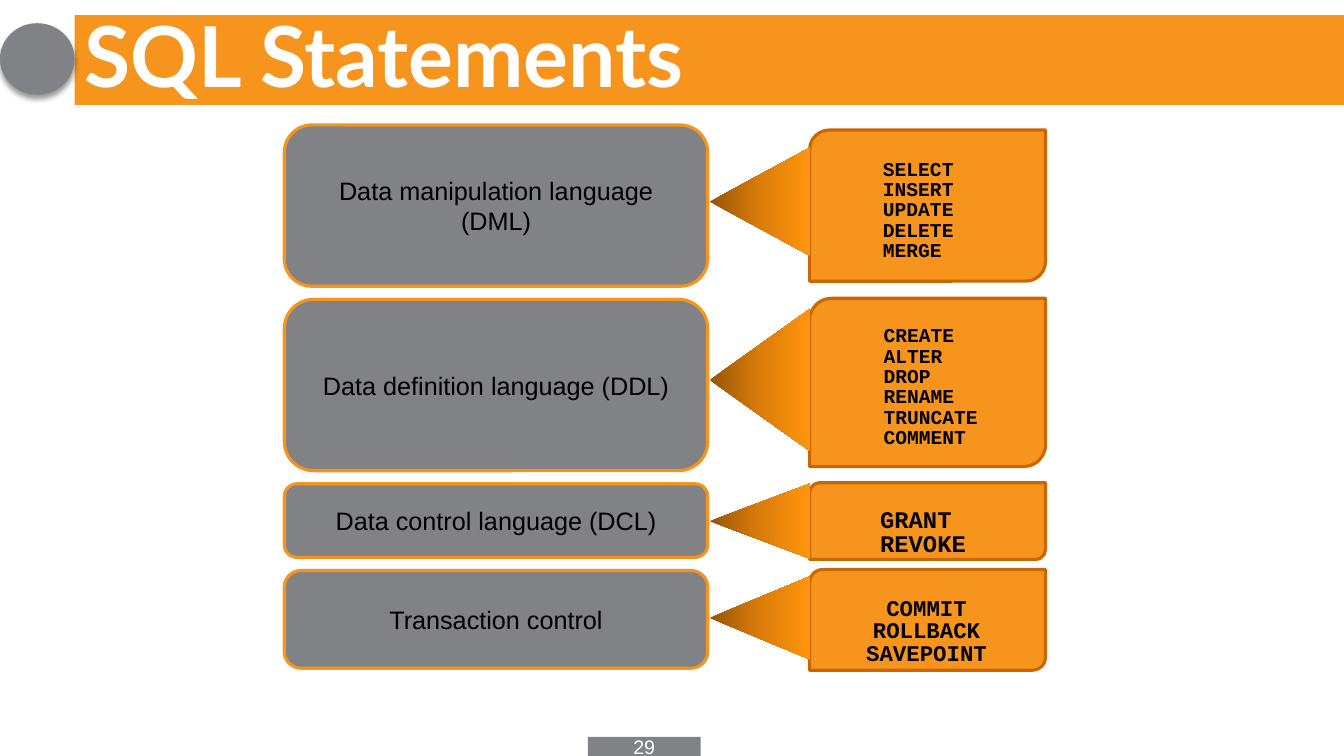
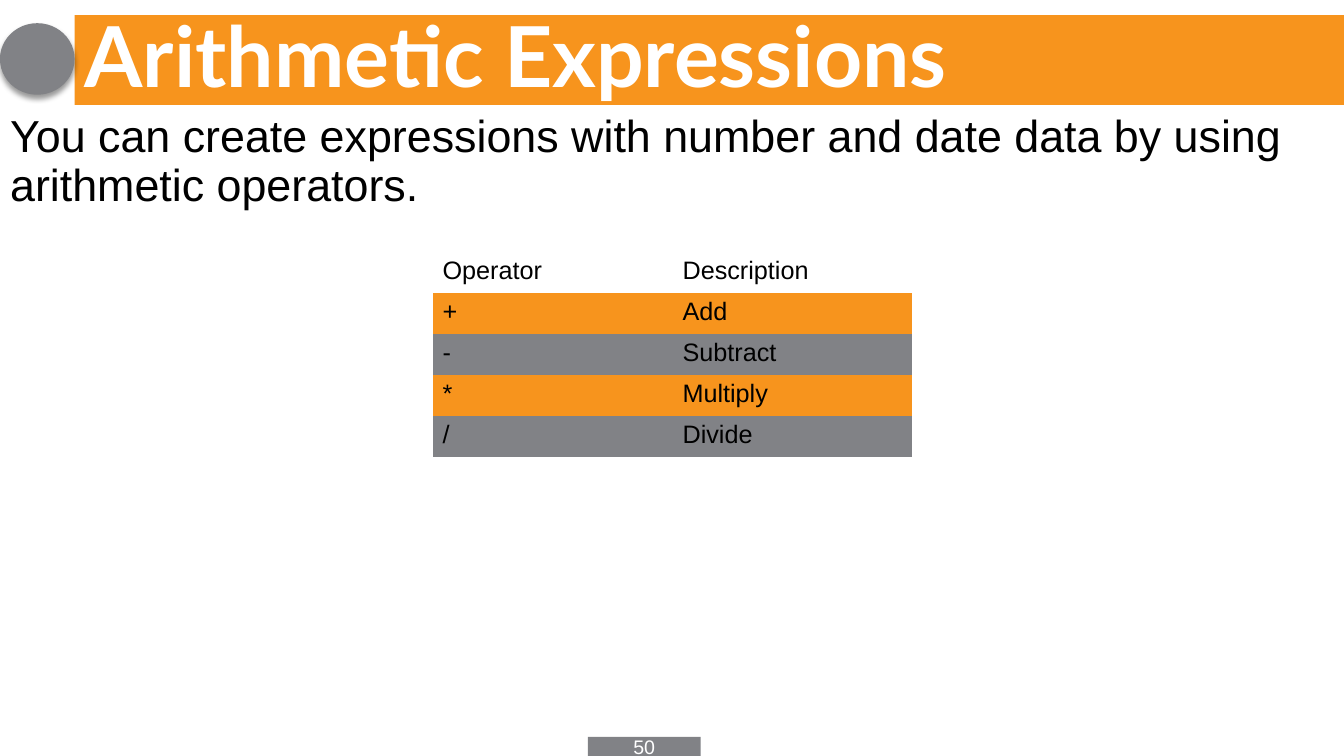
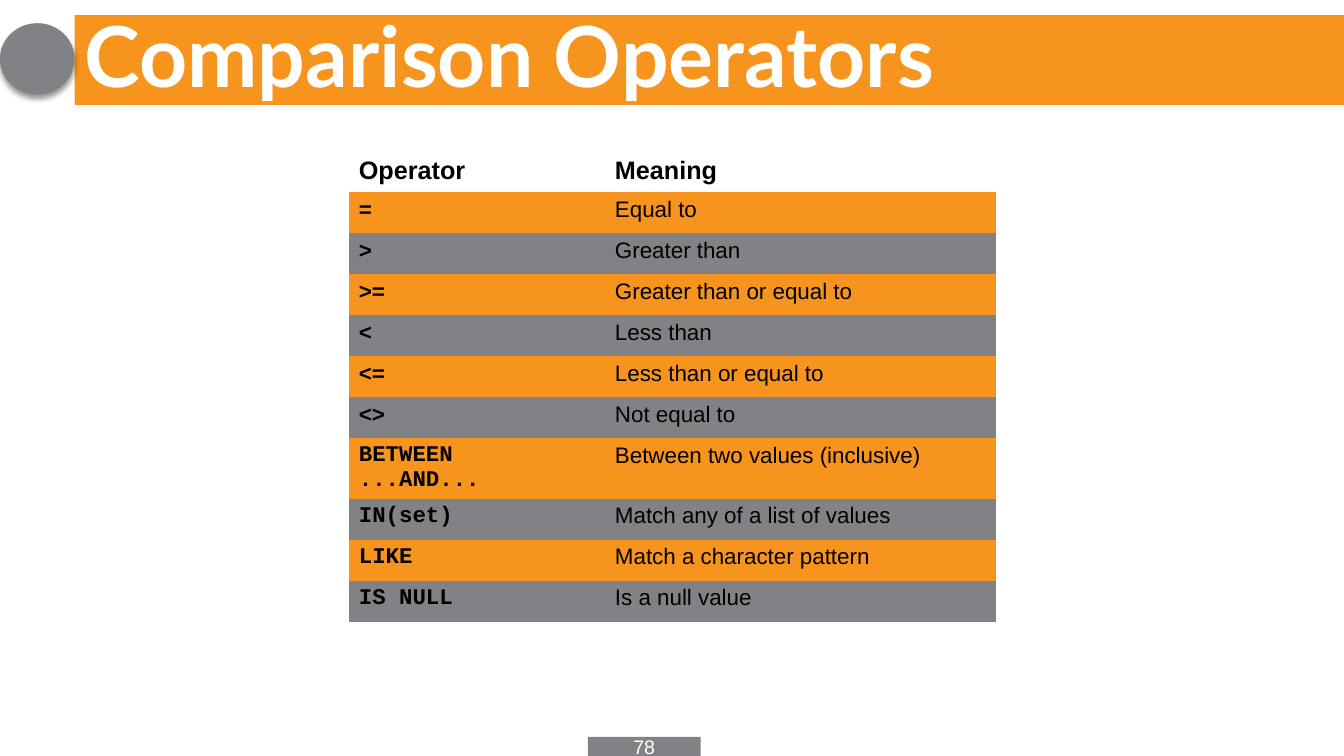
"""Build three slides on SQL statements and operators."""
from pptx import Presentation
from pptx import util as u
from pptx.dml.color import RGBColor
from pptx.enum import shapes, text
from pptx.oxml import parse_xml
from pptx.oxml.ns import nsdecls

ORANGE, GREY, RUST = "F7941D", "818286", "CC6600"
BLACK, WHITE = "000000", "FFFFFF"
SANS, MONO, HEAD = "Arial", "Courier New", "Lato"
LEFT, MID = text.PP_ALIGN.LEFT, text.PP_ALIGN.CENTER
KIND = shapes.MSO_SHAPE
PLAIN = "{2D5ABB26-0587-4C30-8999-92F81FD0307C}"
RAMP = ((0, "975506"), (50, "DB7C0A"), (100, "FF950C"))

GROUPS = (
    dict(name="Data manipulation language (DML)", box=(1.24, 1.6),
         card=(1.29, 1.5), tip=(2, 1.08), size=14,
         words="SELECT\nINSERT\nUPDATE\nDELETE\nMERGE"),
    dict(name="Data definition language (DDL)", box=(2.97, 1.7),
         card=(2.96, 1.67), tip=(3.77, 1.42), size=14,
         words="CREATE\nALTER\nDROP\nRENAME\nTRUNCATE\nCOMMENT"),
    dict(name="Data control language (DCL)", box=(4.8, 0.73),
         card=(4.79, 0.76), tip=(5.17, 0.75), size=17,
         words="GRANT\nREVOKE", drop=0.27),
    dict(name="Transaction control", box=(5.66, 0.97),
         card=(5.65, 1), tip=(6.13, 0.83), size=16,
         words="COMMIT\nROLLBACK\nSAVEPOINT", drop=0.27, align=MID),
)
MATHS = (("Operator", "Description"), ("+", "Add"), ("-", "Subtract"),
         ("*", "Multiply"), ("/", "Divide"))
TESTS = (("Operator", "Meaning"), ("=", "Equal to"), (">", "Greater than"),
         (">=", "Greater than or equal to"), ("<", "Less than"),
         ("<=", "Less than or equal to"), ("<>", "Not equal to"),
         ("BETWEEN\n...AND...", "Between two values (inclusive)"),
         ("IN(set)", "Match any of a list of values"),
         ("LIKE", "Match a character pattern"),
         ("IS NULL", "Is a null value"))


def tint(fill, code):
    """Make a fill solid in a hex colour."""
    fill.solid()
    fill.fore_color.rgb = RGBColor.from_string(code)


def put(frame, words, size=18, font=SANS, color=BLACK, bold=False,
        align=LEFT, line=None, gap=0, indent=None):
    """Write one paragraph for each line of words in a text frame."""
    for i, part in enumerate(words.split("\n")):
        para = frame.add_paragraph() if i else frame.paragraphs[0]
        para.alignment = align
        para.line_spacing = line
        para.space_before = u.Pt(gap if i else 0)
        if indent is not None:
            props = para._p.get_or_add_pPr()
            props.set("marL", str(u.Inches(indent)))
            props.set("indent", "0")
            props.append(parse_xml(f"<a:buNone {nsdecls('a')}/>"))
        run = para.add_run()
        run.text = part
        run.font.size, run.font.name, run.font.bold = u.Pt(size), font, bold
        run.font.color.rgb = RGBColor.from_string(color)


def place(shape, left, top, width, height):
    """Move and size a shape in inches."""
    shape.left, shape.top = u.Inches(left), u.Inches(top)
    shape.width, shape.height = u.Inches(width), u.Inches(height)


def block(slide, kind, spot, fill=None, edge=None, curve=None):
    """Add a flat preset shape."""
    shape = slide.shapes.add_shape(kind, *map(u.Inches, spot))
    shape.shadow.inherit = False
    if fill:
        tint(shape.fill, fill)
    if edge:
        tint(shape.line.fill, edge)
        shape.line.width = u.Pt(2.25)
    else:
        shape.line.fill.background()
    if curve:
        shape.adjustments[0] = curve
    frame = shape.text_frame
    frame.word_wrap = True
    frame.vertical_anchor = text.MSO_ANCHOR.MIDDLE
    return shape


def hold(shape, anchor):
    """Fix the size and anchor of a placeholder's text."""
    frame = shape.text_frame
    frame.word_wrap = True
    frame.auto_size = text.MSO_AUTO_SIZE.NONE
    frame.vertical_anchor = anchor
    return frame


def start(deck, layout, title, page):
    """Add a slide with its dot, title band and page tab."""
    slide = deck.slides.add_slide(deck.slide_layouts[layout])
    dot = block(slide, KIND.OVAL, (0, 0.23, 0.74, 0.71), GREY)
    dot._element.spPr.find("{*}effectLst").append(parse_xml(
        f'<a:outerShdw {nsdecls("a")} blurRad="{u.Pt(4)}" dist="{u.Pt(3)}" '
        f'dir="5400000" rotWithShape="0"><a:srgbClr val="{BLACK}">'
        '<a:alpha val="40000"/></a:srgbClr></a:outerShdw>'))
    band = slide.shapes.title
    place(band, 0.74, 0.15, 12.6, 0.89)
    tint(band.fill, ORANGE)
    put(hold(band, text.MSO_ANCHOR.MIDDLE), title, size=60, font=HEAD,
        color=WHITE, bold=True, line=0.9)
    tab = block(slide, KIND.RECTANGLE, (5.83, 7.31, 1.12, 0.19), GREY)
    put(tab.text_frame, str(page), size=14, color=WHITE, align=MID)
    return slide


def card(slide, group):
    """Add the card that lists a group's commands."""
    top, height = group["card"]
    shape = block(slide, KIND.ROUND_2_DIAG_RECTANGLE,
                  (8.03, top, 2.34, height), ORANGE, RUST, 0.13)
    frame = shape.text_frame
    frame.margin_left = frame.margin_bottom = 0
    frame.margin_right = u.Inches(0.02)
    frame.margin_top = u.Inches(group.get("drop", 0.13))
    align = group.get("align", LEFT)
    put(frame, group["words"], size=group["size"], font=MONO, bold=True,
        align=align, line=0.65, gap=3.6, indent=0.67 if align == LEFT else 0)


def label(slide, group):
    """Add the rounded box that names a group."""
    top, height = group["box"]
    shape = block(slide, KIND.ROUNDED_RECTANGLE, (2.82, top, 4.2, height),
                  GREY, ORANGE, 0.17)
    put(shape.text_frame, group["name"], align=MID)


def wedge(slide, group):
    """Add the shaded triangle that points from a card to its label."""
    mid, width = group["tip"]
    shape = block(slide, KIND.ISOSCELES_TRIANGLE,
                  (7.54 - width / 2, mid - 0.5, width, 1))
    shape.rotation = 270
    stops = "".join(f'<a:gs pos="{at * 1000}"><a:srgbClr val="{code}"/></a:gs>'
                    for at, code in RAMP)
    shape._element.spPr.find("{*}prstGeom").addnext(parse_xml(
        f'<a:gradFill {nsdecls("a")} rotWithShape="1"><a:gsLst>{stops}'
        '</a:gsLst><a:lin ang="5400000" scaled="0"/></a:gradFill>'))


def grid(slide, rows, spot, widths, style):
    """Add a striped table; style gives the format of a cell."""
    table = slide.shapes.add_table(len(rows), len(widths),
                                   *map(u.Inches, spot)).table
    table._tbl.tblPr[0].text = PLAIN
    table.first_row = table.horz_banding = False
    for col, width in zip(table.columns, widths):
        col.width = u.Inches(width)
    for r, row in enumerate(rows):
        for c, words in enumerate(row):
            cell = table.cell(r, c)
            if r:
                tint(cell.fill, ORANGE if r % 2 else GREY)
            else:
                cell.fill.background()
            put(cell.text_frame, words, **style(r, c, words))


def test_style(row, col, words):
    """Give the format of a cell among the comparison operators."""
    code = row and col == 0 and any(map(str.isalpha, words))
    return dict(size=16 if row else 18, bold=not row or col == 0,
                font=MONO if code else SANS)


def main():
    """Build and save the deck."""
    deck = Presentation()
    deck.slide_width, deck.slide_height = u.Inches(13.33), u.Inches(7.5)

    slide = start(deck, 5, "SQL Statements", 29)
    for draw in (card, label, wedge):
        for group in GROUPS:
            draw(slide, group)

    slide = start(deck, 1, "Arithmetic Expressions", 50)
    body = slide.placeholders[1]
    place(body, 0, 1.08, 13.33, 6.42)
    put(hold(body, text.MSO_ANCHOR.TOP),
        "You can create expressions with number and date data by using "
        "arithmetic operators.", size=32, line=0.9, indent=0)
    grid(slide, MATHS, (4.29, 2.5, 4.75, 2.03), (2.38, 2.38),
         lambda *cell: {})

    slide = start(deck, 5, "Comparison Operators", 78)
    grid(slide, TESTS, (3.46, 1.5, 6.42, 4.47), (2.54, 3.88), test_style)

    deck.save("out.pptx")


if __name__ == "__main__":
    main()
